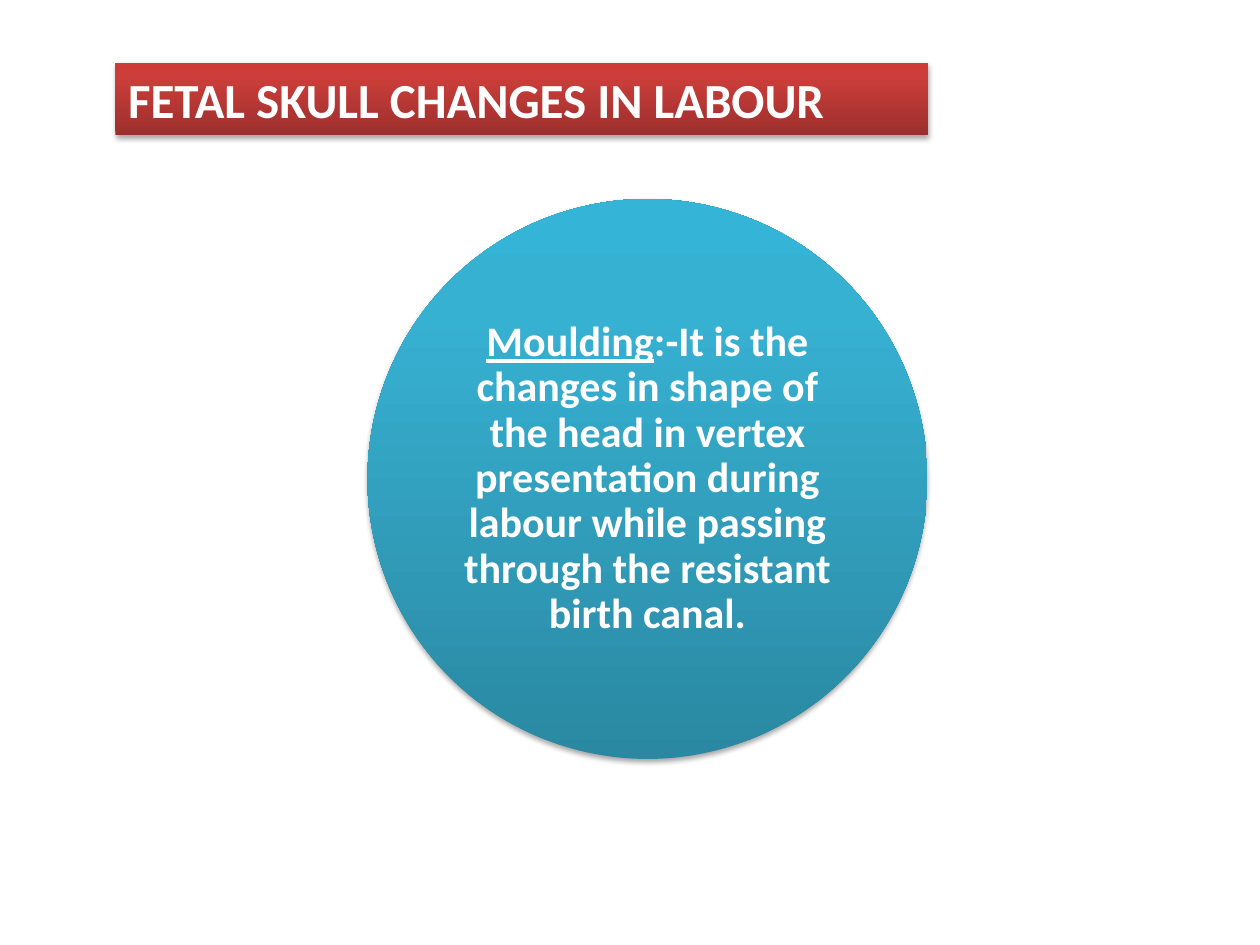
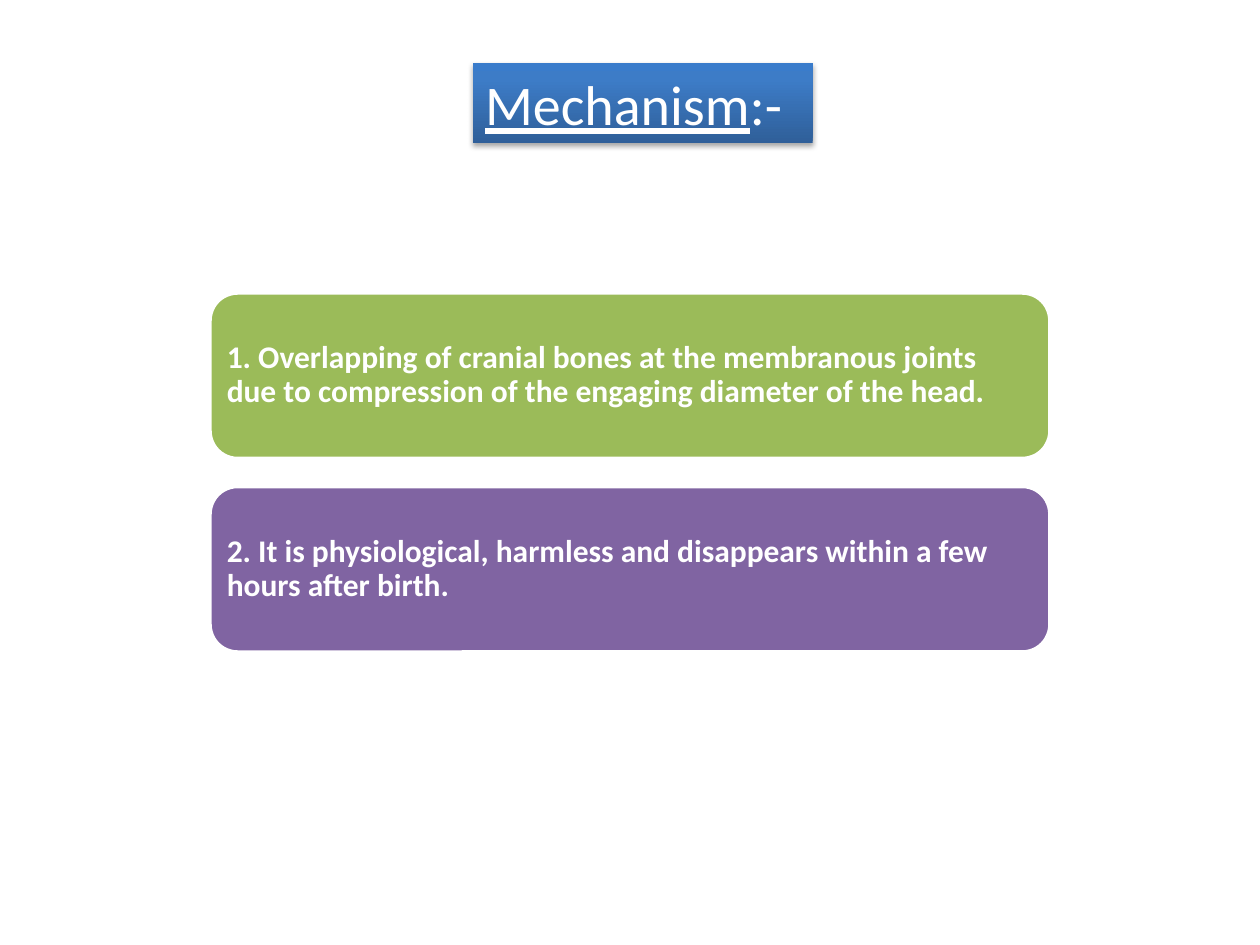
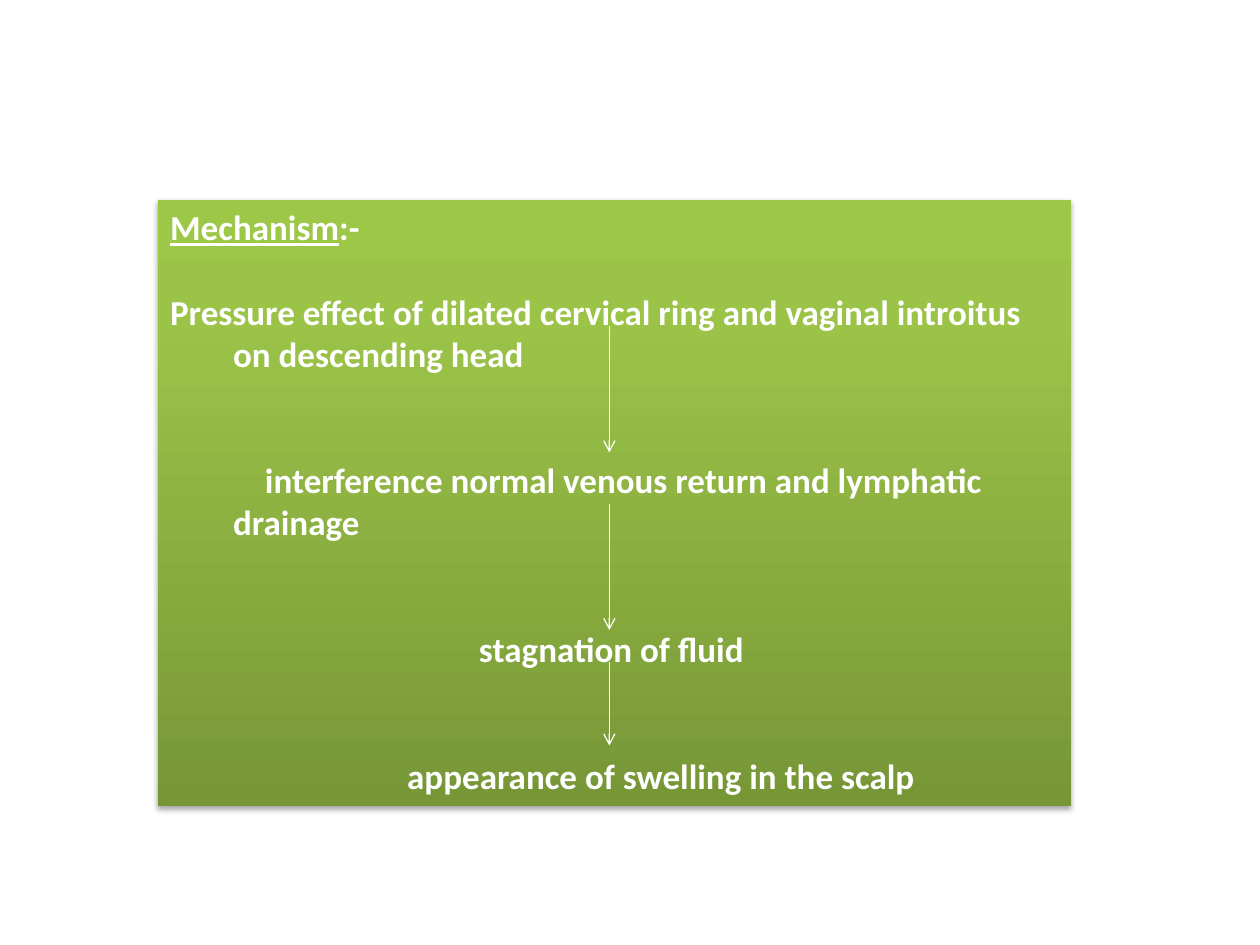
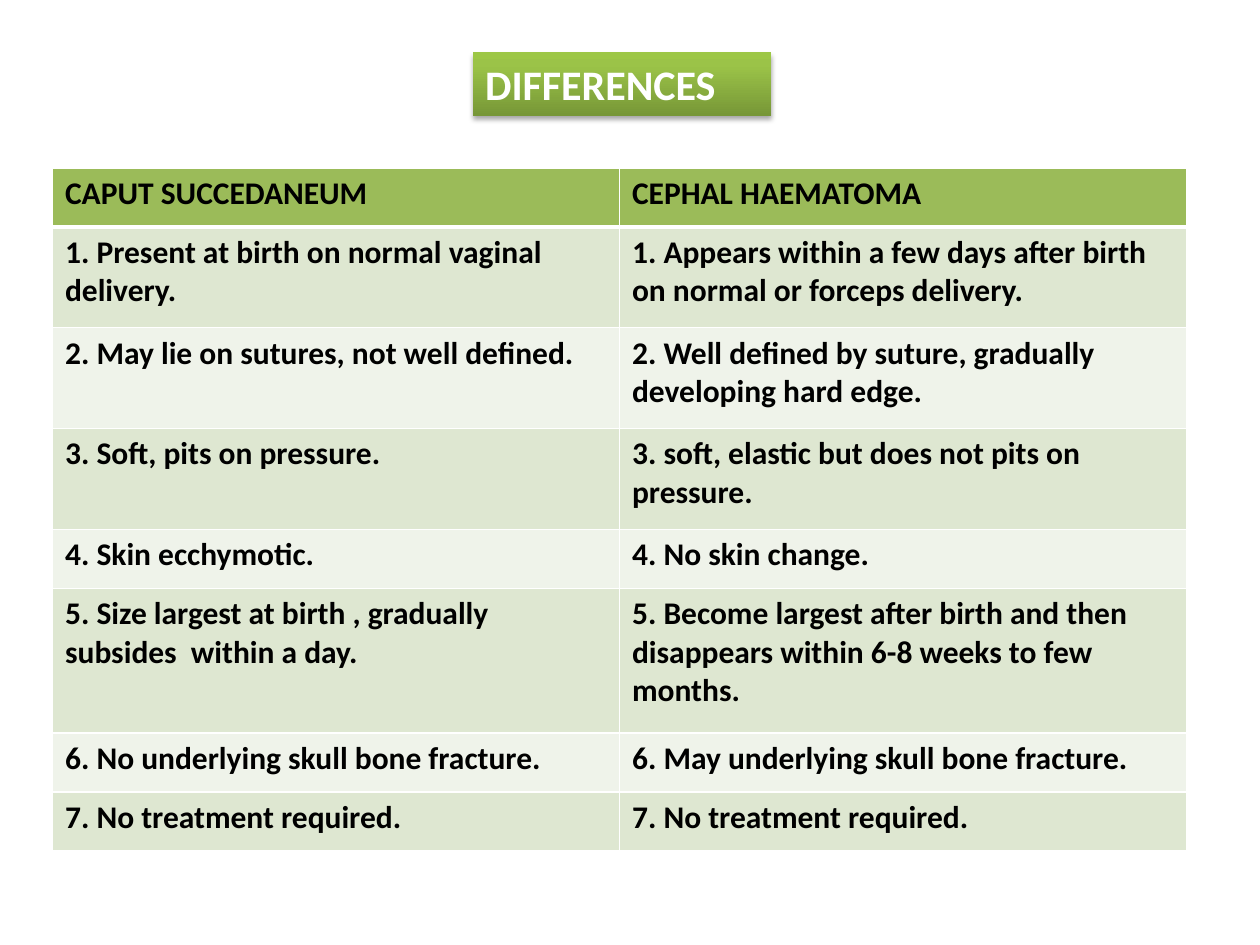
from dataclasses import dataclass
from typing import NamedTuple

from pptx import Presentation
from pptx.dml.color import RGBColor
from pptx.enum.shapes import MSO_CONNECTOR, MSO_SHAPE
from pptx.enum.text import MSO_ANCHOR, MSO_AUTO_SIZE, PP_ALIGN
from pptx.oxml import parse_xml
from pptx.oxml.ns import nsdecls
from pptx.oxml.xmlchemy import OxmlElement
from pptx.util import Pt


class Gradient(NamedTuple):
    bottom: str
    middle: str
    top: str


@dataclass(frozen=True)
class Theme:
    font: str = "Calibri"
    white: str = "FFFFFF"
    black: str = "000000"
    green: str = "9BBB59"
    purple: str = "8064A2"
    band_dark: str = "DEE7D1"
    band_light: str = "EFF3EA"
    red_blend: Gradient = Gradient("9C2F2D", "CB3E3A", "CE3B37")
    teal_blend: Gradient = Gradient("2A88A2", "37B1D2", "34B4D6")
    blue_blend: Gradient = Gradient("2F5F99", "3D7CC7", "3A7CCB")
    green_blend: Gradient = Gradient("779737", "9BC348", "9DC746")
    title_large: int = 32
    title: int = 28
    heading: int = 24
    flow: int = 20
    text: int = 18


THEME = Theme()
TITLE_AND_CONTENT, TITLE_ONLY = 1, 5


class Box(NamedTuple):
    """Left, top, width and height in points."""
    left: float
    top: float
    width: float
    height: float


class Words(NamedTuple):
    text: str
    underline: bool = False


class Banner(NamedTuple):
    box: Box
    blend: Gradient
    size: int
    words: list[Words]
    bold: bool = True


class Card(NamedTuple):
    text: str
    color: str


class Step(NamedTuple):
    """A line of the flow: start and hang are offsets of its first and later lines."""
    words: list[Words]
    start: float = 0
    hang: float = 36
    blank_lines: int = 0


class Row(NamedTuple):
    caput: str
    haematoma: str
    height: float


MECHANISM = [Words("Mechanism", True), Words(":-")]

LABOUR_BANNER = Banner(Box(66, 36, 464.4, 41), THEME.red_blend, THEME.title,
                       [Words("FETAL SKULL CHANGES IN LABOUR")])
MECHANISM_BANNER = Banner(Box(270, 36, 194.4, 46), THEME.blue_blend,
                          THEME.title_large, MECHANISM, bold=False)
DIFFERENCES_BANNER = Banner(Box(270, 30, 170.6, 36.2), THEME.green_blend,
                            THEME.heading, [Words("DIFFERENCES")])

MOULDING = [
    Words("Moulding", True),
    Words(":-It is the changes in shape of the head in vertex presentation during "
          "labour while passing through the resistant birth canal."),
]

CARDS = [
    Card("1. Overlapping of cranial bones at the membranous joints due to "
         "compression of the engaging diameter of the head.", THEME.green),
    Card("2. It is physiological, harmless and disappears within a few hours "
         "after birth.", THEME.purple),
]

FLOW_LINE = 24.2
FLOW = [
    Step(MECHANISM),
    Step([Words("Pressure effect of dilated cervical ring and vaginal introitus "
                "on descending head")], blank_lines=1),
    Step([Words("interference normal venous return and lymphatic drainage")],
         start=54.2, blank_lines=2),
    Step([Words("stagnation of fluid")], 176.5, 176.5, 2),
    Step([Words("appearance of swelling in the scalp")], 135.5, 135.5, 2),
]
ARROW_X = 348.2
ARROWS = [(186.5, 258.5), (288, 360), (378, 426)]

ONE_LINE, TWO_LINES, THREE_LINES = 33.7, 57.6, 82.8
DIFFERENCES = [
    Row("CAPUT SUCCEDANEUM", "CEPHAL HAEMATOMA", ONE_LINE),
    Row("1. Present at birth on normal vaginal delivery.",
        "1. Appears within a few days after birth on normal or forceps delivery.",
        TWO_LINES),
    Row("2. May lie on sutures, not well defined.",
        "2. Well defined by suture, gradually developing hard edge.", TWO_LINES),
    Row("3. Soft, pits on pressure.",
        "3. soft, elastic but does not pits on pressure.", TWO_LINES),
    Row("4. Skin ecchymotic.", "4. No skin change.", ONE_LINE),
    Row("5. Size largest at birth , gradually subsides  within a day.",
        "5. Become largest after birth and then disappears within 6-8 weeks to "
        "few months.", THREE_LINES),
    Row("6. No underlying skull bone fracture.",
        "6. May underlying skull bone fracture.", ONE_LINE),
    Row("7. No treatment required.", "7. No treatment required.", ONE_LINE),
]


def apply_format(target, values: dict) -> None:
    for attribute, value in values.items():
        setattr(target, attribute, value)


def place(shape, box: Box) -> None:
    apply_format(shape, {side: Pt(value) for side, value in box._asdict().items()})


def write(paragraph, words: list[Words], size: int, bold: bool = True,
          color: str = THEME.white) -> None:
    for part in words:
        run = paragraph.add_run()
        run.text = part.text
        apply_format(run.font, {"name": THEME.font, "size": Pt(size), "bold": bold,
                                "underline": part.underline})
        run.font.color.rgb = RGBColor.from_string(color)


def set_frame(frame, anchor: MSO_ANCHOR, inset: float | None = None) -> None:
    apply_format(frame, {"word_wrap": True, "auto_size": MSO_AUTO_SIZE.NONE,
                         "vertical_anchor": anchor})
    if inset is not None:
        apply_format(frame, {f"margin_{side}": Pt(inset)
                             for side in ("left", "top", "right", "bottom")})


def shade(shape, blend: Gradient) -> None:
    """Give the shape a vertical gradient, no outline and a soft shadow below."""
    stops = "".join(
        f'<a:gs pos="{position}"><a:srgbClr val="{color}"/></a:gs>'
        for position, color in zip((0, 80000, 100000), blend))
    properties = shape._element.spPr
    properties.append(parse_xml(
        f'<a:gradFill {nsdecls("a")} rotWithShape="1"><a:gsLst>{stops}</a:gsLst>'
        '<a:lin ang="16200000" scaled="0"/></a:gradFill>'))
    shape.line.fill.background()
    properties.append(parse_xml(
        f'<a:effectLst {nsdecls("a")}><a:outerShdw blurRad="{Pt(3.1)}" '
        f'dist="{Pt(1.8)}" dir="5400000" rotWithShape="0"><a:srgbClr val="{THEME.black}">'
        '<a:alpha val="35000"/></a:srgbClr></a:outerShdw></a:effectLst>'))


def add_titled_slide(deck, banner: Banner):
    slide = deck.slides.add_slide(deck.slide_layouts[TITLE_ONLY])
    title = slide.shapes.title
    place(title, banner.box)
    shade(title, banner.blend)
    set_frame(title.text_frame, MSO_ANCHOR.TOP)
    heading = title.text_frame.paragraphs[0]
    heading.alignment = PP_ALIGN.LEFT
    write(heading, banner.words, banner.size, banner.bold)
    return slide


def add_filled_shape(slide, kind: MSO_SHAPE, box: Box, words: list[Words], size: int,
                     alignment: PP_ALIGN, inset: float):
    shape = slide.shapes.add_shape(kind, *(Pt(value) for value in box))
    set_frame(shape.text_frame, MSO_ANCHOR.MIDDLE, inset)
    paragraph = shape.text_frame.paragraphs[0]
    apply_format(paragraph, {"alignment": alignment, "line_spacing": 0.9})
    write(paragraph, words, size)
    return shape


def add_card(slide, card: Card, box: Box) -> None:
    shape = add_filled_shape(slide, MSO_SHAPE.ROUNDED_RECTANGLE, box,
                             [Words(card.text)], THEME.text, PP_ALIGN.LEFT, 5)
    shape.shadow.inherit = False
    shape.fill.solid()
    shape.fill.fore_color.rgb = RGBColor.from_string(card.color)
    shape.line.color.rgb = RGBColor.from_string(THEME.white)
    shape.line.width = Pt(2)


def add_step(paragraph, step: Step) -> None:
    properties = paragraph._p.get_or_add_pPr()
    properties.set("marL", str(Pt(step.hang)))
    properties.set("indent", str(Pt(step.start - step.hang)))
    properties.append(OxmlElement("a:buNone"))
    paragraph.space_before = Pt(step.blank_lines * FLOW_LINE)
    write(paragraph, step.words, THEME.flow)


def add_down_arrow(slide, top: float, bottom: float) -> None:
    arrow = slide.shapes.add_connector(MSO_CONNECTOR.STRAIGHT, Pt(ARROW_X), Pt(top),
                                       Pt(ARROW_X), Pt(bottom))
    arrow.line.color.rgb = RGBColor.from_string(THEME.white)
    arrow.line.width = Pt(0.75)
    head = OxmlElement("a:tailEnd")
    head.set("type", "arrow")
    arrow.line._get_or_add_ln().append(head)
    arrow._element.spPr.append(OxmlElement("a:effectLst"))


def set_borders(cell, bottom_width: float) -> None:
    widths = {"lnL": 1, "lnR": 1, "lnT": 1, "lnB": bottom_width}
    for edge, width in widths.items():
        cell._tc.get_or_add_tcPr().append(parse_xml(
            f'<a:{edge} {nsdecls("a")} w="{Pt(width)}"><a:solidFill>'
            f'<a:srgbClr val="{THEME.white}"/></a:solidFill></a:{edge}>'))


def add_comparison(slide, rows: list[Row], box: Box) -> None:
    table = slide.shapes.add_table(len(rows), 2, *(Pt(value) for value in box)).table
    for index, row in enumerate(rows):
        table.rows[index].height = Pt(row.height)
        is_header = index == 0
        band = THEME.band_dark if index % 2 else THEME.band_light
        for column, text in enumerate((row.caput, row.haematoma)):
            cell = table.cell(index, column)
            set_borders(cell, 3 if is_header else 1)
            cell.fill.solid()
            cell.fill.fore_color.rgb = RGBColor.from_string(
                THEME.green if is_header else band)
            write(cell.text_frame.paragraphs[0], [Words(text)], THEME.text,
                  color=THEME.black)


def build_moulding(deck) -> None:
    slide = add_titled_slide(deck, LABOUR_BANNER)
    circle = add_filled_shape(slide, MSO_SHAPE.OVAL, Box(210, 113.7, 320, 320),
                              MOULDING, THEME.heading, PP_ALIGN.CENTER, 2.2)
    shade(circle, THEME.teal_blend)


def build_mechanism(deck) -> None:
    slide = add_titled_slide(deck, MECHANISM_BANNER)
    top, height, gap = 167.4, 94.6, 16
    for index, card in enumerate(CARDS):
        add_card(slide, card, Box(120, top + index * (height + gap), 480, height))


def build_flow(deck) -> None:
    slide = deck.slides.add_slide(deck.slide_layouts[TITLE_AND_CONTENT])
    title = slide.shapes.title._element
    title.getparent().remove(title)
    panel = slide.placeholders[1]
    place(panel, Box(90, 114, 522, 346.3))
    shade(panel, THEME.green_blend)
    frame = panel.text_frame
    set_frame(frame, MSO_ANCHOR.TOP)
    for index, step in enumerate(FLOW):
        add_step(frame.add_paragraph() if index else frame.paragraphs[0], step)
    for top, bottom in ARROWS:
        add_down_arrow(slide, top, bottom)


def build_differences(deck) -> None:
    slide = add_titled_slide(deck, DIFFERENCES_BANNER)
    height = sum(row.height for row in DIFFERENCES)
    add_comparison(slide, DIFFERENCES, Box(30, 96, 648, height))


def main() -> None:
    deck = Presentation()
    deck.slide_width, deck.slide_height = Pt(720), Pt(540)
    for build in (build_moulding, build_mechanism, build_flow, build_differences):
        build(deck)
    deck.save("out.pptx")


if __name__ == "__main__":
    main()
